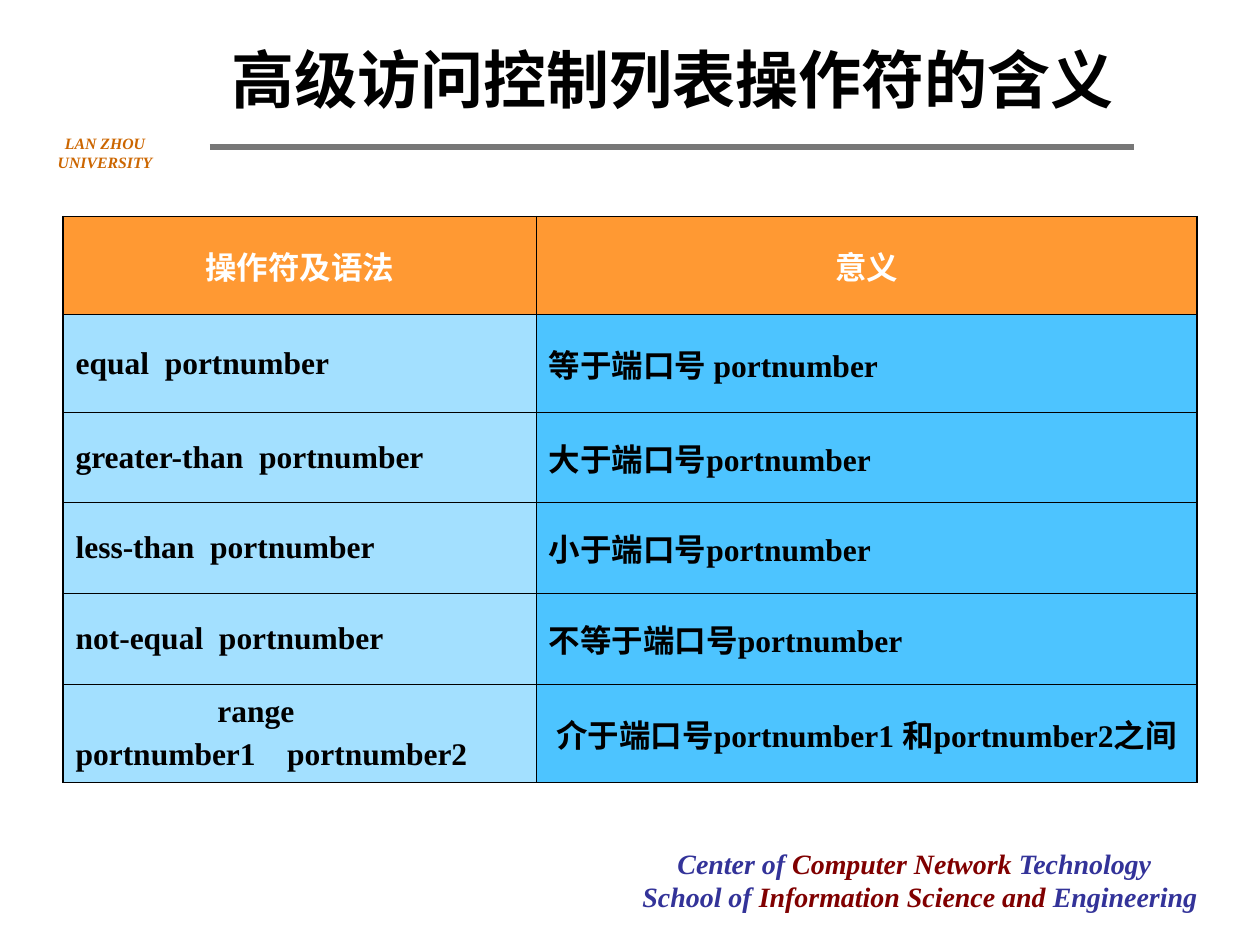
"""Builds a slide that explains the operators of advanced access lists."""
from lxml import etree
from pptx import Presentation
from pptx.dml.color import RGBColor
from pptx.enum.shapes import MSO_CONNECTOR
from pptx.enum.text import MSO_ANCHOR, PP_ALIGN
from pptx.oxml.ns import qn
from pptx.util import Pt

LINE = MSO_CONNECTOR.STRAIGHT
MID, TOP = MSO_ANCHOR.MIDDLE, MSO_ANCHOR.TOP
LEFT, CENTER = PP_ALIGN.LEFT, PP_ALIGN.CENTER
BLACK = RGBColor(0x00, 0x00, 0x00)
WHITE = RGBColor(0xFF, 0xFF, 0xFF)
GRAY = RGBColor(0x77, 0x77, 0x77)
NAVY = RGBColor(0x33, 0x33, 0x99)
MAROON = RGBColor(0x80, 0x00, 0x00)
BROWN = RGBColor(0xCC, 0x66, 0x00)
ORANGE = RGBColor(0xFF, 0x99, 0x33)
PALE = RGBColor(0xA3, 0xE0, 0xFF)
SKY = RGBColor(0x4D, 0xC4, 0xFF)

SERIF = {"name": "Times New Roman", "bold": True}
HEAD = {"name": "Arial", "bold": True, "size": Pt(36)}
BODY = {**SERIF, "size": Pt(18)}
FOOT = {**SERIF, "size": Pt(16), "italic": True}
MARK = {**SERIF, "size": Pt(9), "italic": True}
THICK, THIN = 1.08, 0.45

COLS = (270.5, 377.5)
HIGH = (56, 56, 51.5, 52, 52, 56)
ROWS = (
    ("操作符及语法", "意义"),
    ("equal  portnumber", "等于端口号 portnumber"),
    ("greater-than  portnumber", "大于端口号portnumber"),
    ("less-than  portnumber", "小于端口号portnumber"),
    ("not-equal  portnumber", "不等于端口号portnumber"),
    ("range\nportnumber1    portnumber2",
     "介于端口号portnumber1 和portnumber2之间"),
)


def write(para, runs, style, align=LEFT, indent=0, gap=0):
    """Fill a paragraph with coloured runs."""
    para.alignment = align
    para.space_before = Pt(gap)
    if indent:
        para._p.get_or_add_pPr().set("indent", str(Pt(indent)))
    for text, color in runs:
        run = para.add_run()
        run.text = text
        for key, value in style.items():
            setattr(run.font, key, value)
        run.font.color.rgb = color


def frame(slide, box, anchor=MID, wrap=True):
    """Add a text box and return its text frame."""
    text = slide.shapes.add_textbox(*map(Pt, box)).text_frame
    text.word_wrap = wrap
    text.vertical_anchor = anchor
    return text


def header(slide, box):
    """Place the title, the rule and the school mark."""
    x, y, w, h = box
    side = 120
    title = frame(slide, (x + side, y, w - side, h - 12))
    write(title.paragraphs[0], [("高级访问控制列表操作符的含义", BLACK)],
          HEAD, CENTER)
    mark = frame(slide, (x + 12, y + h - 6, 96, 18), wrap=False)
    write(mark.paragraphs[0], [("LAN ZHOU UNIVERSITY", BROWN)], MARK, CENTER)
    ends = (x + side, y + h, x + w, y + h)
    rule = slide.shapes.add_connector(LINE, *map(Pt, ends))
    rule.line.color.rgb = GRAY
    rule.line.width = Pt(3)
    etree.SubElement(rule._element.spPr, qn("a:effectLst"))


def border(cell, sides):
    """Draw the cell borders, given the width of each side."""
    props = cell._tc.get_or_add_tcPr()
    for side, width in sides.items():
        edge = etree.SubElement(props, qn("a:ln" + side), w=str(Pt(width)))
        fill = etree.SubElement(edge, qn("a:solidFill"))
        etree.SubElement(fill, qn("a:srgbClr"), val=str(BLACK))


def grid(slide, box):
    """Place the table of operators and meanings."""
    shape = slide.shapes.add_table(len(ROWS), len(COLS), *map(Pt, box))
    table = shape.table
    table.first_row = table.horz_banding = False
    for col, width in zip(table.columns, COLS):
        col.width = Pt(width)
    last = len(ROWS) - 1
    for i, (row, texts) in enumerate(zip(table.rows, ROWS)):
        row.height = Pt(HIGH[i])
        for j, (cell, text) in enumerate(zip(row.cells, texts)):
            border(cell, {"L": THIN if j else THICK,
                          "R": THICK if j else THIN,
                          "T": THIN if i else THICK,
                          "B": THICK if i == last else THIN})
            cell.fill.solid()
            cell.fill.fore_color.rgb = (PALE, SKY)[j] if i else ORANGE
            cell.vertical_anchor = MID
            color = BLACK if i else WHITE
            align = CENTER if i == 0 or (i == last and j) else LEFT
            gap = 0 if j and i < 2 else 4.5
            for k, line in enumerate(text.split("\n")):
                body = cell.text_frame
                para = body.add_paragraph() if k else body.paragraphs[0]
                indent = 81 if line == "range" else 0
                write(para, [(line, color)], BODY, align, indent, gap)


def footer(slide, box):
    """Place the two lines that name the center and the school."""
    text = frame(slide, box, TOP)
    write(text.paragraphs[0],
          [("Center of", NAVY), (" Computer Network ", MAROON),
           ("Technology", NAVY)], FOOT, indent=20)
    write(text.add_paragraph(),
          [("School of ", NAVY), ("Information Science and ", MAROON),
           ("Engineering", NAVY)], FOOT)


def main():
    """Build and save the slide."""
    deck = Presentation()
    deck.slide_width, deck.slide_height = Pt(720), Pt(540)
    slide = deck.slides.add_slide(deck.slide_layouts[6])
    header(slide, (0, 18, 648, 66))
    grid(slide, (36, 123.8, sum(COLS), sum(HIGH)))
    footer(slide, (360, 480, 336, 46))
    deck.save("out.pptx")


main()
